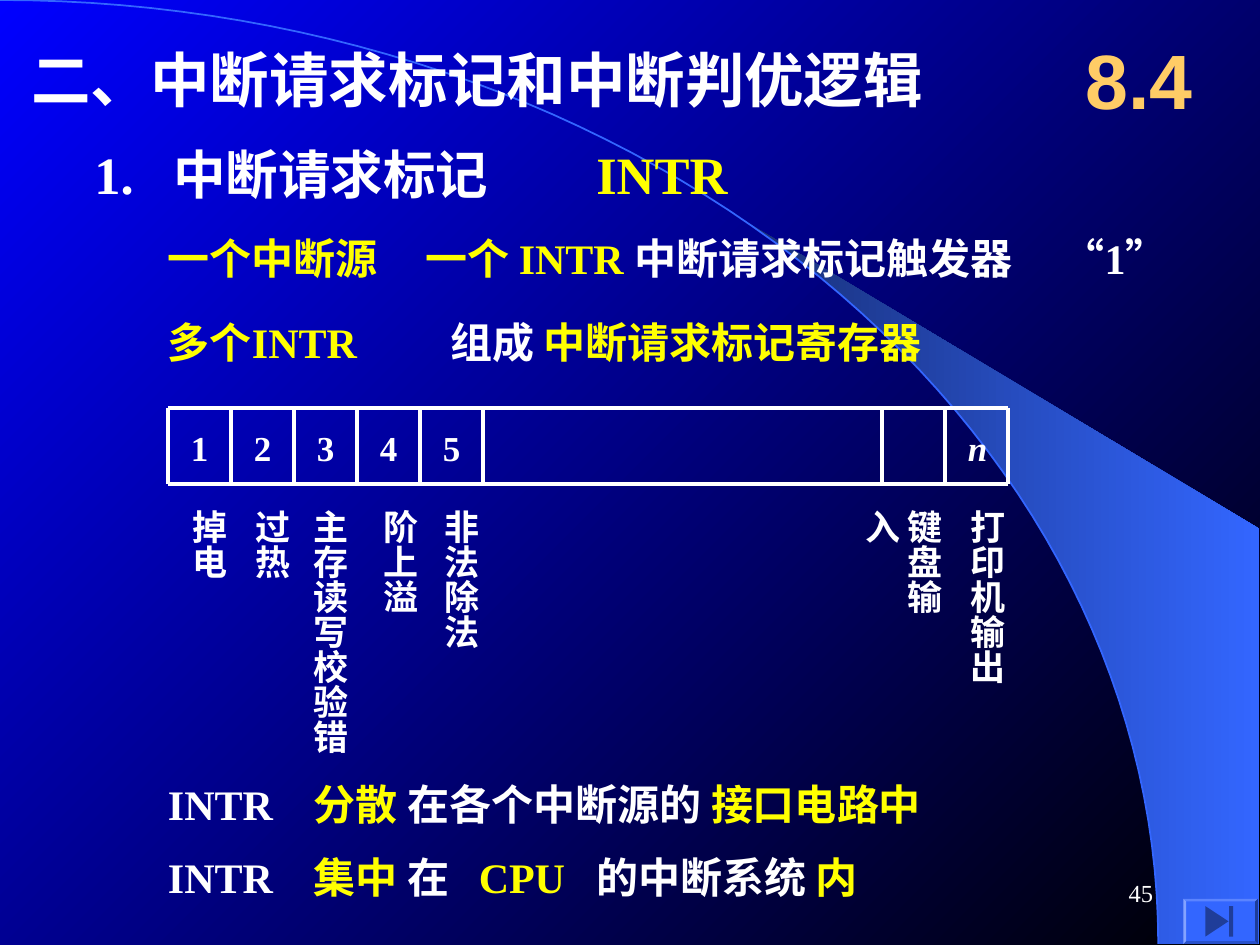
import dataclasses
import math

import pptx
import pptx.dml.color
import pptx.enum.shapes
import pptx.enum.text
import pptx.oxml.ns
import pptx.util
from lxml import etree

SHAPE = pptx.enum.shapes.MSO_SHAPE
ALIGN = pptx.enum.text.PP_ALIGN
ANCHOR = pptx.enum.text.MSO_ANCHOR

# The page is a grid of 120 columns and 90 rows, each a twelfth of an inch
COLUMNS, ROWS = 120, 90


@dataclasses.dataclass(frozen=True)
class Theme:
    white: str = "FFFFFF"
    yellow: str = "FFFF00"
    gold: str = "FFCC66"
    blue: str = "3366FF"
    navy: str = "182F76"
    icon: str = "1F3D99"
    sky: str = "0000FF"
    night: str = "000000"
    serif: str = "Times New Roman"
    sans: str = "Arial"
    section: int = 44
    title: int = 34
    heading: int = 30
    body: int = 24
    label: int = 20
    number: int = 14


@dataclasses.dataclass(frozen=True)
class Box:
    left: float
    top: float
    width: float
    height: float

    def place(self):
        return [units(v) for v in (self.left, self.top, self.width, self.height)]


THEME = Theme()


def units(count):
    return pptx.util.Inches(count / 12)


def color(value):
    return pptx.dml.color.RGBColor.from_string(value)


def fill_gradient(fill, start, end, angle):
    fill.gradient()
    fill.gradient_angle = angle
    for stop, value, position in zip(fill.gradient_stops, (start, end), (0, 1)):
        stop.color.rgb = color(value)
        stop.position = position


def add_text(page, box, spans, size, tabs=(), font=THEME.serif, bold=True, italic=False,
             align=ALIGN.LEFT, anchor=ANCHOR.MIDDLE, insets=(0, 0.05), wrap=True,
             grow=False, vertical=False):
    """Place one paragraph; spans are (text, colour), tabs are in columns."""
    shape = page.shapes.add_textbox(*box.place())
    frame = shape.text_frame
    frame.word_wrap = wrap
    frame.vertical_anchor = anchor
    frame.margin_left = frame.margin_right = pptx.util.Inches(insets[0])
    frame.margin_top = frame.margin_bottom = pptx.util.Inches(insets[1])
    if grow:
        frame.auto_size = pptx.enum.text.MSO_AUTO_SIZE.SHAPE_TO_FIT_TEXT
    if vertical:
        shape._element.txBody.bodyPr.set("vert", "eaVert")
    para = frame.paragraphs[0]
    para.alignment = align
    if tabs:
        stops = etree.SubElement(para._p.get_or_add_pPr(), pptx.oxml.ns.qn("a:tabLst"))
        for column in tabs:
            etree.SubElement(stops, pptx.oxml.ns.qn("a:tab"),
                             pos=str(int(units(column))), algn="l")
    para.font.name, para.font.size = font, pptx.util.Pt(size)
    para.font.bold, para.font.italic = bold, italic
    for text, tint in spans:
        span = para.add_run()
        span.text = text
        span.font.color.rgb = color(tint)


def add_line(page, x1, y1, x2, y2):
    line = page.shapes.add_connector(pptx.enum.shapes.MSO_CONNECTOR.STRAIGHT,
                                     *[units(v) for v in (x1, y1, x2, y2)])
    line.line.color.rgb = color(THEME.white)
    line.line.width = pptx.util.Pt(2.25)
    etree.SubElement(line._element.spPr, pptx.oxml.ns.qn("a:effectLst"))


def add_outline(page, points, close):
    points = [(units(x), units(y)) for x, y in points]
    builder = page.shapes.build_freeform(*points[0])
    builder.add_line_segments(points[1:], close=close)
    shape = builder.convert_to_shape()
    shape.shadow.inherit = False
    return shape


def draw_backdrop(page, box):
    """Diagonal gradient, a quarter ellipse and the band that leaves it."""
    fill_gradient(page.background.fill, THEME.sky, THEME.night, 315)
    radius_x, radius_y = box.width * 0.92, box.height

    def curve(start, steps=60):
        angles = [start + (math.pi / 2 - start) * i / steps for i in range(steps + 1)]
        return [(box.left + radius_x * math.sin(a),
                 box.top + radius_y * (1 - math.cos(a))) for a in angles]

    right, bottom = box.left + box.width, box.top + box.height
    band = add_outline(page, curve(math.asin(0.64))
                       + [(right, bottom), (right, box.top + box.height * 0.56)], True)
    fill_gradient(band.fill, THEME.navy, THEME.blue, 0)
    band.line.fill.background()

    arc = add_outline(page, curve(0), False)
    arc.fill.background()
    arc.line.color.rgb = color(THEME.blue)
    arc.line.width = pptx.util.Pt(1)


def draw_headings(page, box):
    add_text(page, Box(box.left + 3, box.top + 4, 94, 7),
             [("二、中断请求标记和中断判优逻辑", THEME.white)], THEME.title)
    add_text(page, Box(box.left + 9, box.top + 13, 79, 7),
             [("1.\t中断请求标记\t", THEME.white), ("INTR", THEME.yellow)],
             THEME.heading, tabs=(7.5, 47.8))
    add_text(page, Box(box.left + 101, box.top + 2, 15, 11), [("8.4", THEME.gold)],
             THEME.section, font=THEME.sans, align=ALIGN.CENTER, insets=(0.1, 0.05))


def draw_statements(page, box):
    white, yellow = THEME.white, THEME.yellow
    statements = [
        (21, [("一个中断源\t一个 INTR ", yellow), ("中断请求标记触发器\t“1”", white)],
         (24.5, 85.2)),
        (29, [("多个INTR\t", yellow), ("组成 ", white), ("中断请求标记寄存器", yellow)],
         (26.9,)),
        (73, [("INTR\t", white), ("分散 ", yellow), ("在各个中断源的 ", white),
              ("接口电路中", yellow)], (13.9,)),
        (80, [("INTR\t", white), ("集中 ", yellow), ("在\t", white), ("CPU\t", yellow),
              ("的中断系统 ", white), ("内", yellow)], (13.9, 29.6, 40.8)),
    ]
    for row, spans, tabs in statements:
        add_text(page, Box(box.left, box.top + row, box.width, 7), spans, THEME.body, tabs)


def draw_register(page, box):
    """Register cells with their numbers, and the sources named below."""
    right, bottom = box.left + box.width, box.top + box.height
    for y in (box.top, bottom):
        add_line(page, box.left, y, right, y)
    for column in (0, 6, 12, 18, 24, 30, 68, 74, 80):
        x = box.left + column
        add_line(page, x, box.top, x, bottom)

    for text, column in zip("12345n", (0, 6, 12, 18, 24, 74)):
        add_text(page, Box(box.left + column + 1, box.top + 1.1, 4.1, 5.3),
                 [(text, THEME.white)], THEME.label, italic=text == "n",
                 anchor=ANCHOR.TOP, insets=(0.1, 0.05), wrap=False, grow=True)

    # Source name, column, and a fixed height where the name may wrap
    sources = [("掉电", 0.1, None), ("过热", 6.1, None), ("主存读写校验错", 11.6, None),
               ("阶上溢", 18.3, None), ("非法除法", 24.1, None),
               ("键盘输入", 68.2, 15.6), ("打印机输出", 74.2, 20.4)]
    for name, column, height in sources:
        fitted = 1.2 + len(name) * THEME.label / 6
        add_text(page, Box(box.left + column, bottom + 1.2, 6.4, height or fitted),
                 [(name, THEME.white)], THEME.label, anchor=ANCHOR.TOP,
                 insets=(0.05, 0.1), wrap=height is not None, grow=True, vertical=True)


def draw_button(page, box):
    """Bevelled button with a triangle and a bar."""
    middle, top, height = box.left + box.width / 2, box.top + 0.7, box.height - 1.4
    parts = [
        (SHAPE.BEVEL, box, THEME.blue, 0),
        (SHAPE.ISOSCELES_TRIANGLE, Box(middle - 1.8, top + 0.35, height, 2.2), THEME.icon, 90),
        (SHAPE.RECTANGLE, Box(middle + 0.8, top, 0.4, height), THEME.icon, 0),
    ]
    for kind, place, tint, turn in parts:
        shape = page.shapes.add_shape(kind, *place.place())
        shape.shadow.inherit = False
        shape.fill.solid()
        shape.fill.fore_color.rgb = color(tint)
        shape.line.fill.background()
        shape.rotation = turn
        if kind == SHAPE.BEVEL:
            shape.adjustments[0] = 0.06


def draw_footer(page, box):
    draw_button(page, Box(box.left + 26.7, box.top + 3.6, 7.1, 4.3))
    add_text(page, Box(box.left, box.top, 25, 6), [("45", THEME.white)], THEME.number,
             bold=False, align=ALIGN.RIGHT, insets=(0.1, 0.05))


def main():
    deck = pptx.Presentation()
    deck.slide_width, deck.slide_height = units(COLUMNS), units(ROWS)
    page = deck.slides.add_slide(deck.slide_layouts[6])
    draw_backdrop(page, Box(0, 0, COLUMNS - 0.1, ROWS - 0.1))
    draw_headings(page, Box(0, 0, COLUMNS, 20))
    draw_statements(page, Box(16, 0, 101, ROWS))
    draw_register(page, Box(16, 38.9, 80, 7.2))
    draw_footer(page, Box(86, 82, 34, 8))
    deck.save("out.pptx")


if __name__ == "__main__":
    main()
